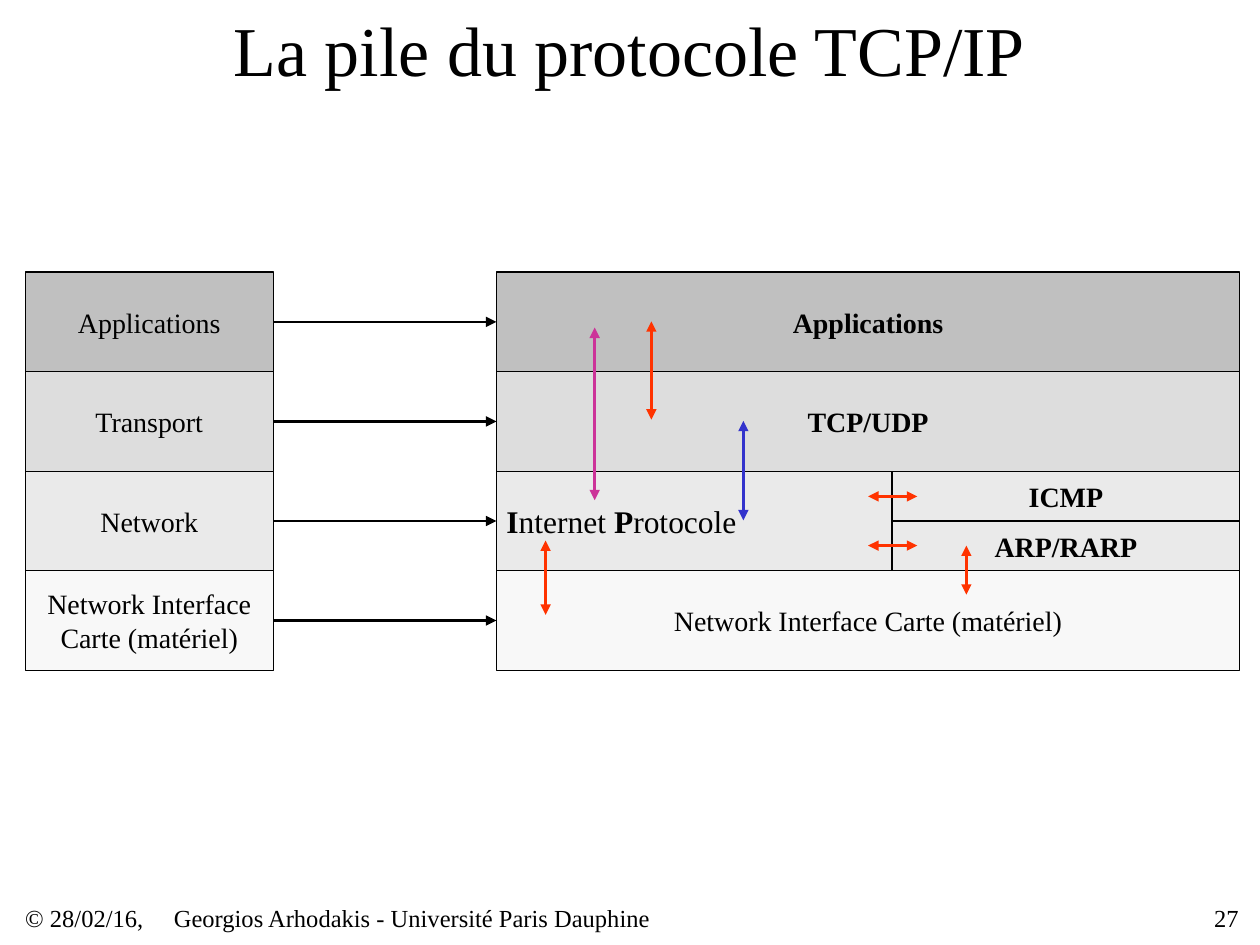
from typing import NamedTuple

from lxml.etree import SubElement
from pptx import Presentation
from pptx.dml.color import RGBColor
from pptx.enum.shapes import MSO_CONNECTOR, MSO_SHAPE
from pptx.enum.text import MSO_ANCHOR, MSO_AUTO_SIZE, PP_ALIGN
from pptx.oxml.ns import qn
from pptx.util import Inches, Pt

FONT = "Times New Roman"
COLORS = {
    "black": "000000", "app": "C0C0C0", "transport": "DDDDDD",
    "network": "EAEAEA", "interface": "F8F8F8",
    "red": "FF3300", "blue": "3333CC", "purple": "CC3399",
}
TOP, ROW_H = 2.16, 0.79
LEFT_X, LEFT_W = 0.2, 1.97
RIGHT_X, RIGHT_W = 3.94, 5.9
SIDE_X, SIDE_W = 7.08, 2.76


class Layer(NamedTuple):
    model: str
    protocol: str
    color: str
    bold: bool = True


class Exchange(NamedTuple):
    x1: float
    y1: float
    x2: float
    y2: float
    color: str = "red"


class Footer(NamedTuple):
    x: float
    w: float
    text: str
    align: PP_ALIGN = PP_ALIGN.LEFT


LAYERS = [
    Layer("Applications", "Applications", "app"),
    Layer("Transport", "TCP/UDP", "transport"),
    Layer("Network", "", "network"),
    Layer("Network Interface Carte (matériel)",
          "Network Interface Carte (matériel)", "interface", False),
]
IP_RUNS = [("I", True), ("nternet ", False), ("P", True), ("rotocole", False)]
EXCHANGES = [
    Exchange(4.33, 4.29, 4.33, 4.88),
    Exchange(5.9, 3.34, 5.9, 4.13, "blue"),
    Exchange(6.89, 3.94, 7.28, 3.94),
    Exchange(6.89, 4.33, 7.28, 4.33),
    Exchange(7.67, 4.33, 7.67, 4.72),
    Exchange(4.72, 2.6, 4.72, 3.97, "purple"),
    Exchange(5.17, 2.55, 5.17, 3.33),
]
FOOTERS = [
    Footer(0.2, 1.18, "© 28/02/16,"),
    Footer(1.38, 5.9, "Georgios Arhodakis - Université Paris Dauphine"),
    Footer(7.75, 2.08, "27", PP_ALIGN.RIGHT),
]


def rgb(name: str) -> RGBColor:
    return RGBColor.from_string(COLORS[name])


def write(sp, runs, size=16, align=PP_ALIGN.CENTER, bold=False,
          margins=(0, 0, 0, 0), wrap=True) -> None:
    """Fill a shape with one paragraph: a string, or (text, bold) runs."""
    tf = sp.text_frame
    tf.word_wrap = wrap
    tf.vertical_anchor = MSO_ANCHOR.MIDDLE
    (tf.margin_left, tf.margin_top,
     tf.margin_right, tf.margin_bottom) = map(Inches, margins)
    p = tf.paragraphs[0]
    p.alignment = align
    for text, is_bold in [(runs, bold)] if isinstance(runs, str) else runs:
        r = p.add_run()
        r.text = text
        r.font.name, r.font.size, r.font.bold = FONT, Pt(size), is_bold
        r.font.color.rgb = rgb("black")


def add_box(s, x: float, y: float, w: float, h: float, color: str, runs, **fmt):
    sp = s.shapes.add_shape(MSO_SHAPE.RECTANGLE, *map(Inches, (x, y, w, h)))
    sp.shadow.inherit = False
    sp.fill.solid()
    sp.fill.fore_color.rgb = rgb(color)
    sp.line.color.rgb = rgb("black")
    sp.line.width = Pt(0.75)
    write(sp, runs, **fmt)
    return sp


def add_arrow(s, x1: float, y1: float, x2: float, y2: float,
              color: str = "black", both: bool = False):
    cx = s.shapes.add_connector(MSO_CONNECTOR.STRAIGHT,
                                *map(Inches, (x1, y1, x2, y2)))
    cx.line.color.rgb = rgb(color)
    cx.line.width = Pt(1.5)
    ln = cx.line._get_or_add_ln()
    for end in ("a:headEnd", "a:tailEnd") if both else ("a:tailEnd",):
        SubElement(ln, qn(end), type="triangle")
    SubElement(cx._element.spPr, qn("a:effectLst"))
    return cx


def main() -> None:
    prs = Presentation()
    prs.slide_width, prs.slide_height = Inches(10), Inches(7.5)
    s = prs.slides.add_slide(prs.slide_layouts[5])

    # Title
    title = s.shapes.title
    title.left, title.top, title.width, title.height = map(
        Inches, (0.58, 0, 8.83, 0.77))
    write(title, "La pile du protocole TCP/IP", size=40,
          margins=(0.1, 0.05, 0.1, 0.05))
    title.text_frame.auto_size = MSO_AUTO_SIZE.SHAPE_TO_FIT_TEXT

    # Footer
    for f in FOOTERS:
        box = s.shapes.add_textbox(*map(Inches, (f.x, 7.16, f.w, 0.24)))
        write(box, f.text, size=14, align=f.align)

    # Layers of the model, each pointing to its protocols
    for i, layer in enumerate(LAYERS):
        y = TOP + i * ROW_H
        model = add_box(s, LEFT_X, y, LEFT_W, ROW_H, layer.color, layer.model)
        if layer.protocol:
            protocol = add_box(s, RIGHT_X, y, RIGHT_W, ROW_H, layer.color,
                               layer.protocol, bold=layer.bold)
        else:
            protocol = add_box(s, RIGHT_X, y, RIGHT_W, ROW_H, layer.color,
                               IP_RUNS, size=18, align=PP_ALIGN.LEFT,
                               margins=(0.08, 0, 0, 0))
            for j, name in enumerate(("ICMP", "ARP/RARP")):
                add_box(s, SIDE_X, y + j * ROW_H / 2, SIDE_W, ROW_H / 2,
                        layer.color, name, bold=True)
        mid = y + ROW_H / 2
        cx = add_arrow(s, LEFT_X + LEFT_W, mid, RIGHT_X, mid)
        cx.begin_connect(model, 3)
        cx.end_connect(protocol, 1)

    # Exchanges between protocols
    for e in EXCHANGES:
        add_arrow(s, *e, both=True)

    prs.save("out.pptx")


if __name__ == "__main__":
    main()
